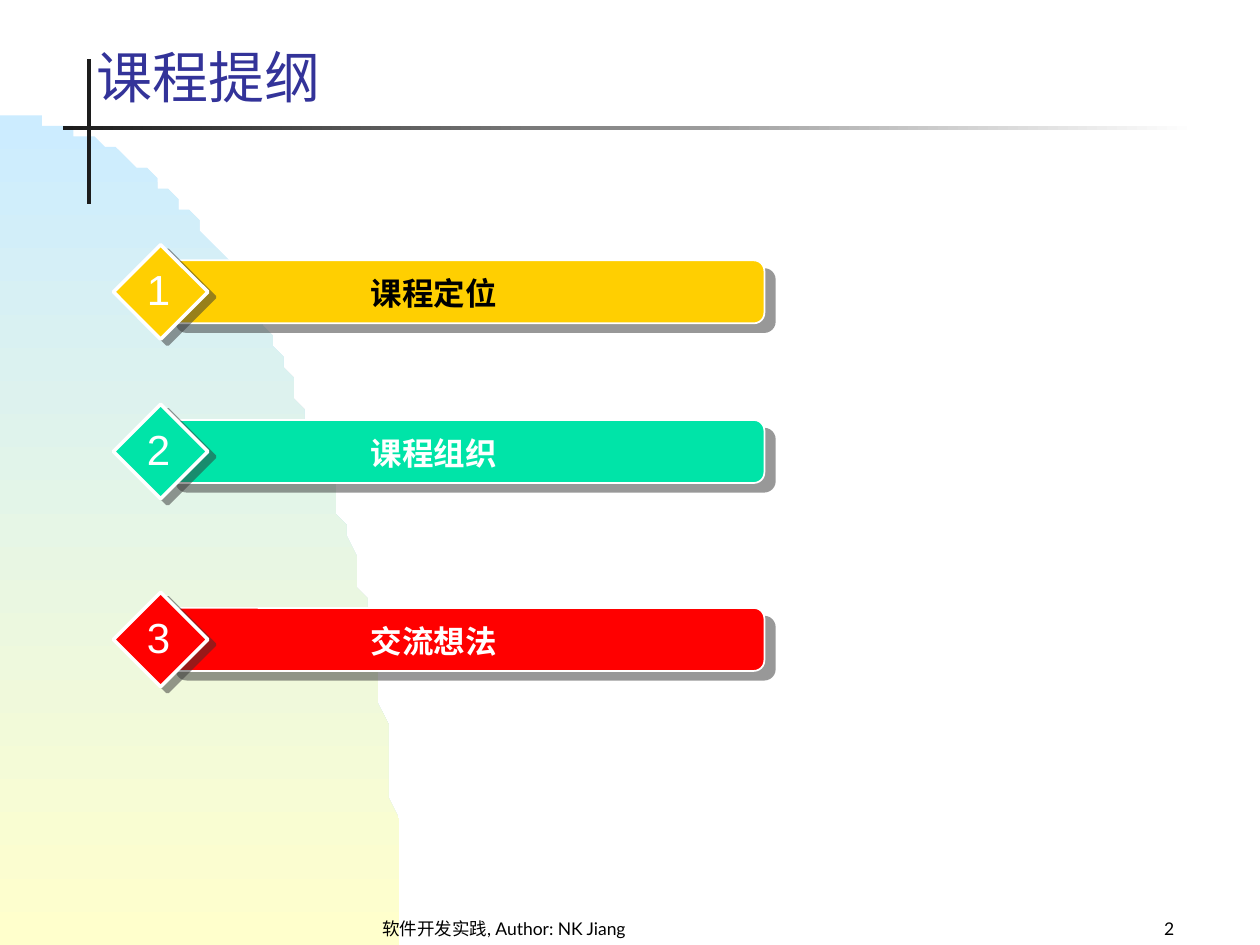
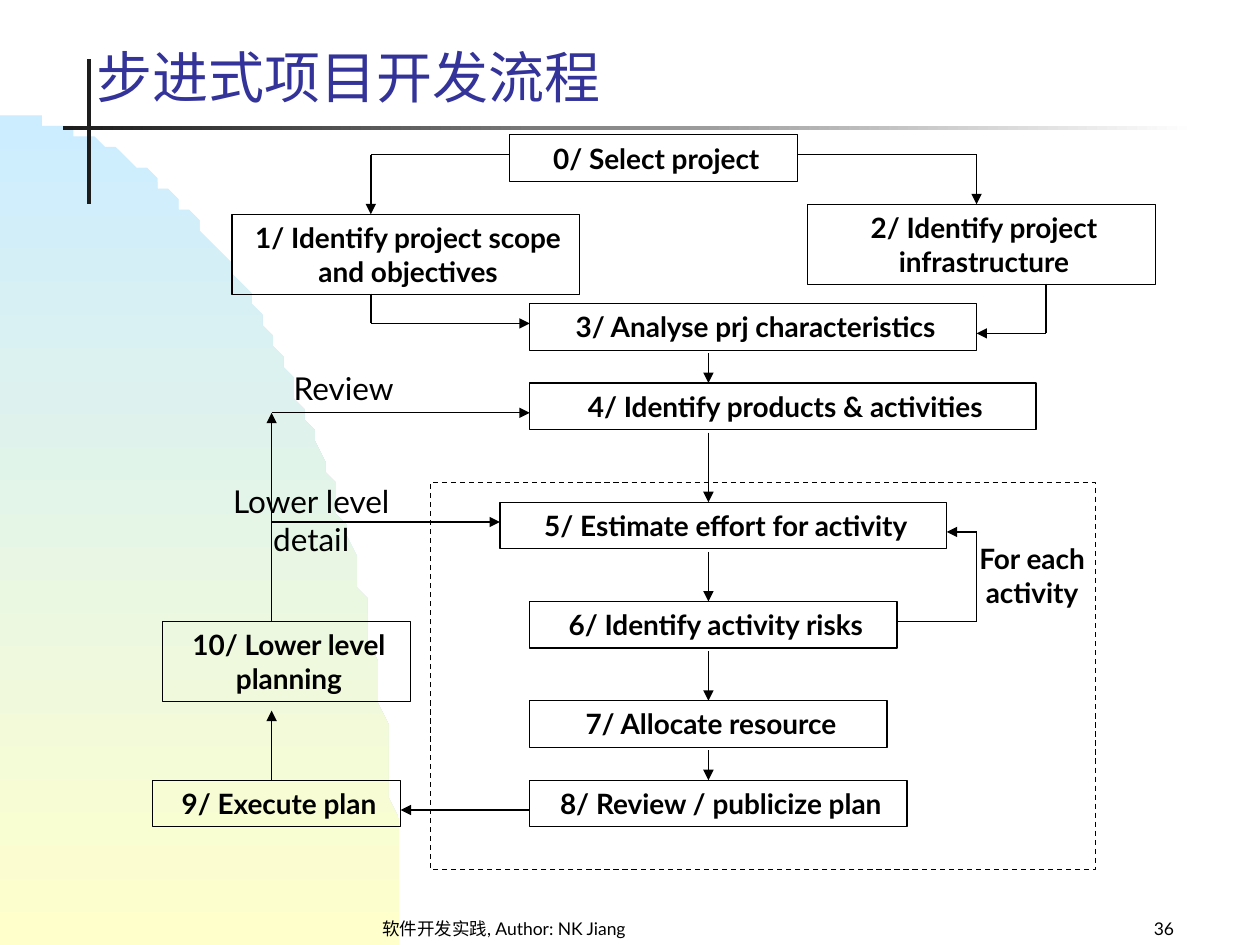
from itertools import pairwise
from math import cos, pi, sin

from lxml.etree import SubElement
from pptx import Presentation
from pptx.dml.color import RGBColor
from pptx.enum.dml import MSO_LINE
from pptx.enum.shapes import MSO_CONNECTOR, MSO_SHAPE as Preset
from pptx.enum.text import MSO_ANCHOR as Anchor, PP_ALIGN as Align
from pptx.oxml.ns import qn
from pptx.util import Inches, Pt

BLACK = RGBColor(0x00, 0x00, 0x00)
WHITE = RGBColor(0xFF, 0xFF, 0xFF)
CHARCOAL = RGBColor(0x1C, 0x1C, 0x1C)
INDIGO = RGBColor(0x33, 0x33, 0x99)
SKY = RGBColor(0xCC, 0xEC, 0xFF)
CREAM = RGBColor(0xFF, 0xFF, 0xCC)
GOLD = RGBColor(0xFF, 0xCF, 0x01)
MINT = RGBColor(0x00, 0xE4, 0xA8)
RED = RGBColor(0xFF, 0x00, 0x00)

deck = Presentation()
deck.slide_width, deck.slide_height = Inches(10), Inches(7.5)
UNIT = deck.slide_width / 120
CELL = Inches(1.97) / 25
FLOW_LEFT, FLOW_TOP = Inches(1.21), Inches(1.07)


def grid_box(col, row, cols, rows):
    return [round(n * UNIT) for n in (col, row, cols, rows)]


def write(holder, text, size, color=BLACK, font="Lato", bold=False, align=Align.CENTER,
          anchor=Anchor.TOP, insets=(0.1, 0.05, 0.1, 0.05), wrap=True):
    frame = holder.text_frame
    frame.text = text
    frame.word_wrap = wrap
    frame.vertical_anchor = anchor
    frame.margin_left, frame.margin_top, frame.margin_right, frame.margin_bottom = map(Inches, insets)
    paragraph = frame.paragraphs[0]
    paragraph.alignment = align
    run_font = paragraph.runs[0].font
    run_font.name, run_font.size, run_font.bold = font, Pt(size), bold
    run_font.color.rgb = color


pages = []
for title, number in [("课程提纲", "2"), ("步进式项目开发流程", "36")]:
    slide = deck.slides.add_slide(deck.slide_layouts[6])
    pages.append(slide)

    arc = [(38 * sin(pi / 2 * i / 80), 90 - 79 * cos(pi / 2 * i / 80)) for i in range(81)]
    outline = slide.shapes.build_freeform(*arc[0], scale=UNIT)
    outline.add_line_segments(arc[1:] + [(0, 90)], close=True)
    hill = outline.convert_to_shape()
    upright = slide.shapes.add_shape(Preset.RECTANGLE, *grid_box(8.3, 5.65, 0.4, 13.8))
    rule = slide.shapes.add_shape(Preset.RECTANGLE, *grid_box(6, 12, 108, 0.38))

    for part, start, end, angle in [(hill, SKY, CREAM, 270), (upright, CHARCOAL, CHARCOAL, 0),
                                    (rule, CHARCOAL, WHITE, 0)]:
        part.shadow.inherit = False
        part.line.fill.background()
        part.fill.gradient()
        part.fill.gradient_angle = angle
        for stop, color in zip(part.fill.gradient_stops, (start, end)):
            stop.color.rgb = color

    for box, text, size, color, align in [
        ((29, 86, 38, 4), "软件开发实践, Author: NK Jiang", 10, BLACK, Align.CENTER),
        ((88, 86, 25, 4), number, 10, BLACK, Align.RIGHT),
        ((8, 2, 85, 9), title, 32, INDIGO, Align.LEFT),
    ]:
        write(slide.shapes.add_textbox(*grid_box(*box)), text, size, color,
              align=align, anchor=Anchor.BOTTOM)

outline_page, process_page = pages

topics = [("课程定位", GOLD, BLACK, 24.8), ("课程组织", MINT, WHITE, 40), ("交流想法", RED, WHITE, 57.9)]
for number, (topic, color, ink, row) in enumerate(topics, 1):
    for preset, box, border, distance, direction in [
        (Preset.ROUNDED_RECTANGLE, (15.8, row, 57, 6), 1, 7.8, 40),
        (Preset.DIAMOND, (10.8, row - 1.5, 9, 9), 2, 5, 37),
    ]:
        badge = outline_page.shapes.add_shape(preset, *grid_box(*box))
        badge.fill.solid()
        badge.fill.fore_color.rgb = color
        badge.line.color.rgb = WHITE
        badge.line.width = Pt(border)
        badge.shadow.inherit = False
        effects = badge._element.spPr.find(qn("a:effectLst"))
        shade = SubElement(effects, qn("a:outerShdw"), blurRad="0", dist=str(Pt(distance)),
                           dir=str(direction * 60000), algn="ctr", rotWithShape="0")
        tone = SubElement(shade, qn("a:srgbClr"), val="333333")
        SubElement(tone, qn("a:alpha"), val="50000")
    write(outline_page.shapes.add_textbox(*grid_box(18.8, row + 0.75, 45, 4.8)),
          topic, 18, ink, "Arial", bold=True)
    write(outline_page.shapes.add_textbox(*grid_box(12.8, row - 0.25, 4.6, 6)),
          str(number), 24, WHITE, "Arial", wrap=False)

ONE_LINE, TWO_LINES = 4.7, 8.1
STEP_INSETS = (0.06, 0.05, 0.02, 0.05)
steps = [
    ("0/ Select project", 36, 0, 29, ONE_LINE),
    ("1/ Identify project scope and objectives", 8, 8, 35, TWO_LINES),
    ("2/ Identify project infrastructure", 66, 7, 35, TWO_LINES),
    ("3/ Analyse prj characteristics", 38, 17, 45, ONE_LINE),
    ("4/ Identify products & activities", 38, 25, 51, ONE_LINE),
    ("5/ Estimate effort for activity", 35, 37, 45, ONE_LINE),
    ("6/ Identify activity risks", 38, 47, 37, ONE_LINE),
    ("7/ Allocate resource", 38, 57, 36, ONE_LINE),
    ("8/ Review / publicize plan", 38, 65, 38, ONE_LINE),
    ("9/ Execute plan", 0, 65, 25, ONE_LINE),
    ("10/ Lower level planning", 1, 49, 25, TWO_LINES),
    ("", 28, 35, 67, 39),
]
for step, col, row, cols, rows in steps:
    box = process_page.shapes.add_shape(
        Preset.RECTANGLE, round(FLOW_LEFT + col * CELL), round(FLOW_TOP + row * CELL),
        round(cols * CELL), round(rows * CELL))
    box.shadow.inherit = False
    box.fill.background()
    box.line.color.rgb = BLACK
    box.line.width = Pt(0.75)
    if step:
        write(box, step, 16, bold=True, insets=STEP_INSETS)
    else:
        box.line.dash_style = MSO_LINE.DASH

captions = [
    ("Review", 13, 23, 12, 5, 18, False, STEP_INSETS),
    ("Lower level detail", 8, 35, 16, 7.6, 18, False, (0, 0, 0, 0)),
    ("For each activity", 83, 41, 11.2, 10, 16, True, (0.02, 0, 0.02, 0)),
]
for caption, col, row, cols, rows, size, bold, insets in captions:
    label = process_page.shapes.add_textbox(
        round(FLOW_LEFT + col * CELL), round(FLOW_TOP + row * CELL),
        round(cols * CELL), round(rows * CELL))
    write(label, caption, size, bold=bold, insets=insets)

SPINE, LOOP = 56, 12
descents = [(22, 25), (30, 37), (42, 47), (52, 57), (62, 65)]
routes = [[(SPINE, start), (SPINE, end)] for start, end in descents] + [
    [(36, 2), (22, 2), (22, 8)],
    [(65, 2), (83, 2), (83, 7)],
    [(22, 16), (22, 19), (38, 19)],
    [(90, 15), (90, 20), (83, 20)],
    [(38, 68), (25, 68)],
    [(LOOP, 65), (LOOP, 58)],
    [(LOOP, 49), (LOOP, 28)],
    [(LOOP, 28), (38, 28)],
    [(LOOP, 39), (35, 39)],
    [(75, 49), (83, 49), (83, 40), (80, 40)],
]
for route in routes:
    for (col, row), (next_col, next_row) in pairwise(route):
        link = process_page.shapes.add_connector(
            MSO_CONNECTOR.STRAIGHT,
            round(FLOW_LEFT + col * CELL), round(FLOW_TOP + row * CELL),
            round(FLOW_LEFT + next_col * CELL), round(FLOW_TOP + next_row * CELL))
        link.line.color.rgb = BLACK
        link.line.width = Pt(0.75)
        SubElement(link._element.spPr, qn("a:effectLst"))
    SubElement(link.line._get_or_add_ln(), qn("a:tailEnd"), type="triangle")

deck.save("out.pptx")
